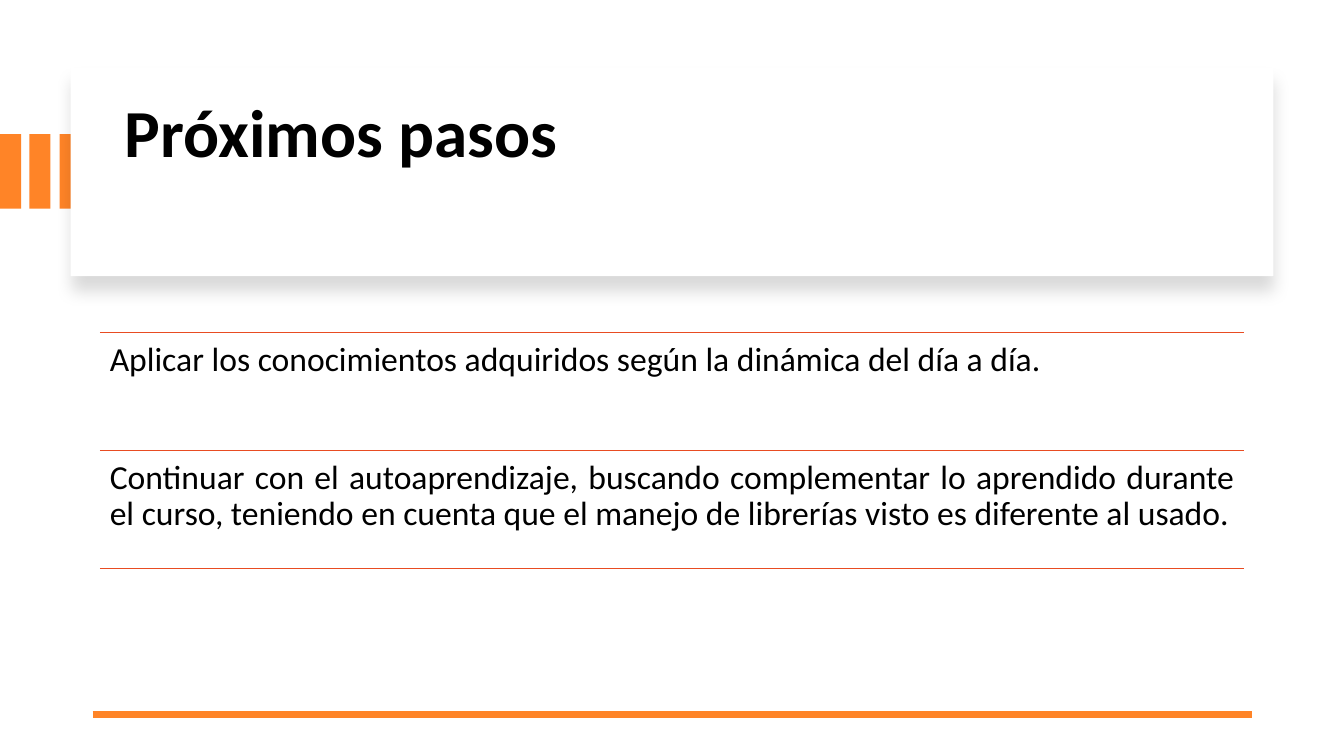
import pptx
import pptx.util
import pptx.dml.color
import pptx.enum.shapes
import pptx.enum.text
import pptx.oxml
import pptx.oxml.ns
from lxml import etree

PX = 9144  # 100 px to the inch
THEME = {
    "font": "Calibri",
    "ink": "000000",
    "paper": "FFFFFF",
    "accent": "FF8427",
    "rule": "E84C22",
    "title": 48,
    "body": 24,
}
ALIGN = pptx.enum.text.PP_ALIGN
RECT = pptx.enum.shapes.MSO_SHAPE.RECTANGLE
LINE = pptx.enum.shapes.MSO_CONNECTOR.STRAIGHT
rgb = pptx.dml.color.RGBColor.from_string

deck = pptx.Presentation()
deck.slide_width, deck.slide_height = 1333 * PX, 750 * PX
slide = deck.slides.add_slide(deck.slide_layouts[6])
shapes = slide.shapes


def write(text, x, y, w, h, size, bold=False, align=ALIGN.LEFT):
    box = shapes.add_textbox(x * PX, y * PX, w * PX, h * PX)
    frame = box.text_frame
    frame.word_wrap = True
    frame.margin_left = frame.margin_right = 10 * PX
    frame.margin_top = frame.margin_bottom = 10 * PX
    para = frame.paragraphs[0]
    para.alignment = align
    para.line_spacing = 0.9
    run = para.add_run()
    run.text = text
    run.font.name = THEME["font"]
    run.font.size = pptx.util.Pt(size)
    run.font.bold = bold
    run.font.color.rgb = rgb(THEME["ink"])


def rule(x, y, end, color, width):
    line = shapes.add_connector(LINE, x * PX, y * PX, end * PX, y * PX)
    line.line.color.rgb = rgb(color)
    line.line.width = pptx.util.Pt(width)
    props = line._element.spPr
    etree.SubElement(props, pptx.oxml.ns.qn("a:effectLst"))


# Three orange bars at the left edge, then the title card over them
blocks = [(x, 133, 21, 74, "accent") for x in (0, 29, 59)]
blocks.append((70, 67, 1193, 207, "paper"))
for x, y, w, h, color in blocks:
    card = shapes.add_shape(RECT, x * PX, y * PX, w * PX, h * PX)
    card.shadow.inherit = False
    card.fill.solid()
    card.fill.fore_color.rgb = rgb(THEME[color])
    card.line.fill.background()

# Soft shadow below the card
glow = card._element.spPr.find(pptx.oxml.ns.qn("a:effectLst"))
glow.append(pptx.oxml.parse_xml(
    f'<a:outerShdw {pptx.oxml.ns.nsdecls("a")} blurRad="{pptx.util.Pt(11)}" '
    f'dist="{pptx.util.Pt(10)}" dir="5400000" algn="t" rotWithShape="0">'
    f'<a:srgbClr val="{THEME["ink"]}"><a:alpha val="15000"/></a:srgbClr>'
    '</a:outerShdw>'))

# Title
write("Próximos pasos", 114, 89, 1113, 170, THEME["title"], bold=True)

# Foot line
rule(92, 709, 1242, THEME["accent"], 4.5)

# Steps, each under a thin rule, with a last rule to close the list
steps = [
    "Aplicar los conocimientos adquiridos según la dinámica del día a día.",
    "Continuar con el autoaprendizaje, buscando complementar lo aprendido "
    "durante el curso, teniendo en cuenta que el manejo de librerías visto "
    "es diferente al usado.",
]
left, top, wide, pitch = 99, 330, 1135, 117
for i in range(len(steps) + 1):
    rule(left, top + i * pitch, left + wide, THEME["rule"], 1)
for i, step in enumerate(steps):
    write(step, left, top + i * pitch, wide, pitch, THEME["body"],
          align=ALIGN.JUSTIFY)

deck.save("out.pptx")
